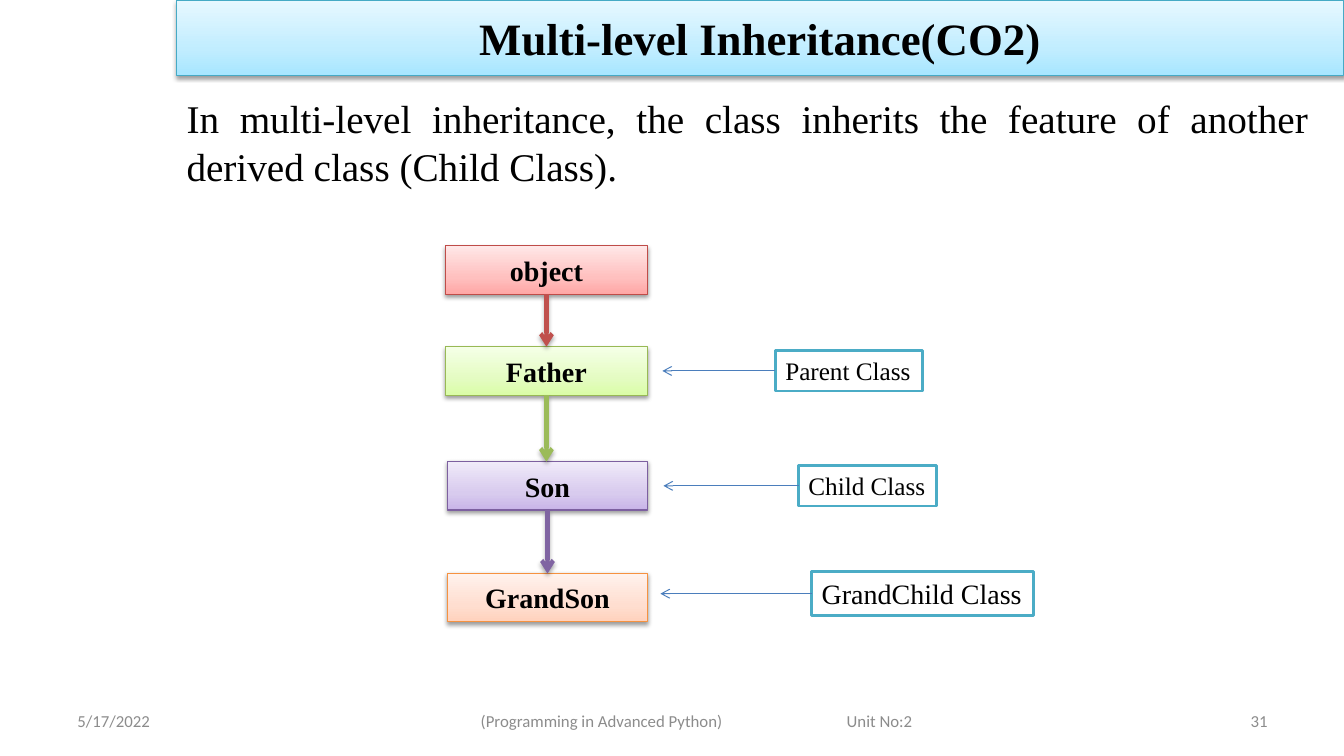
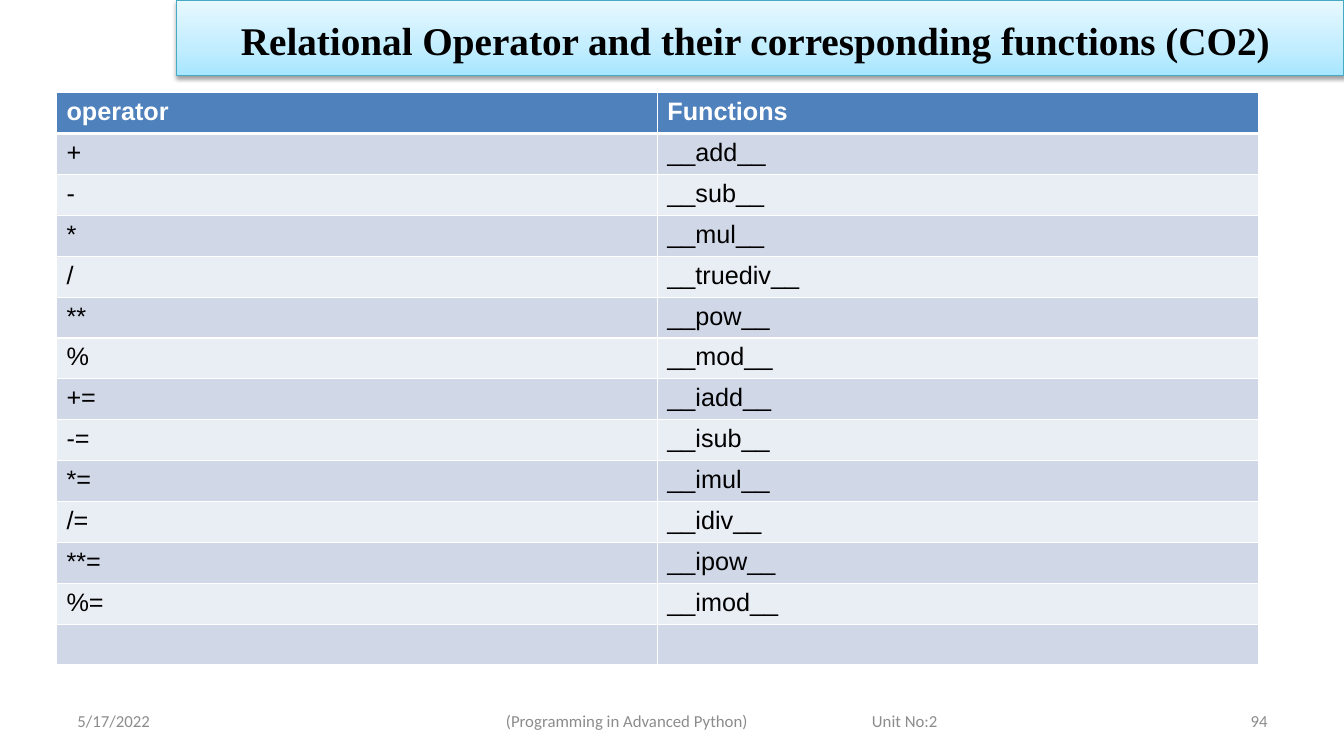
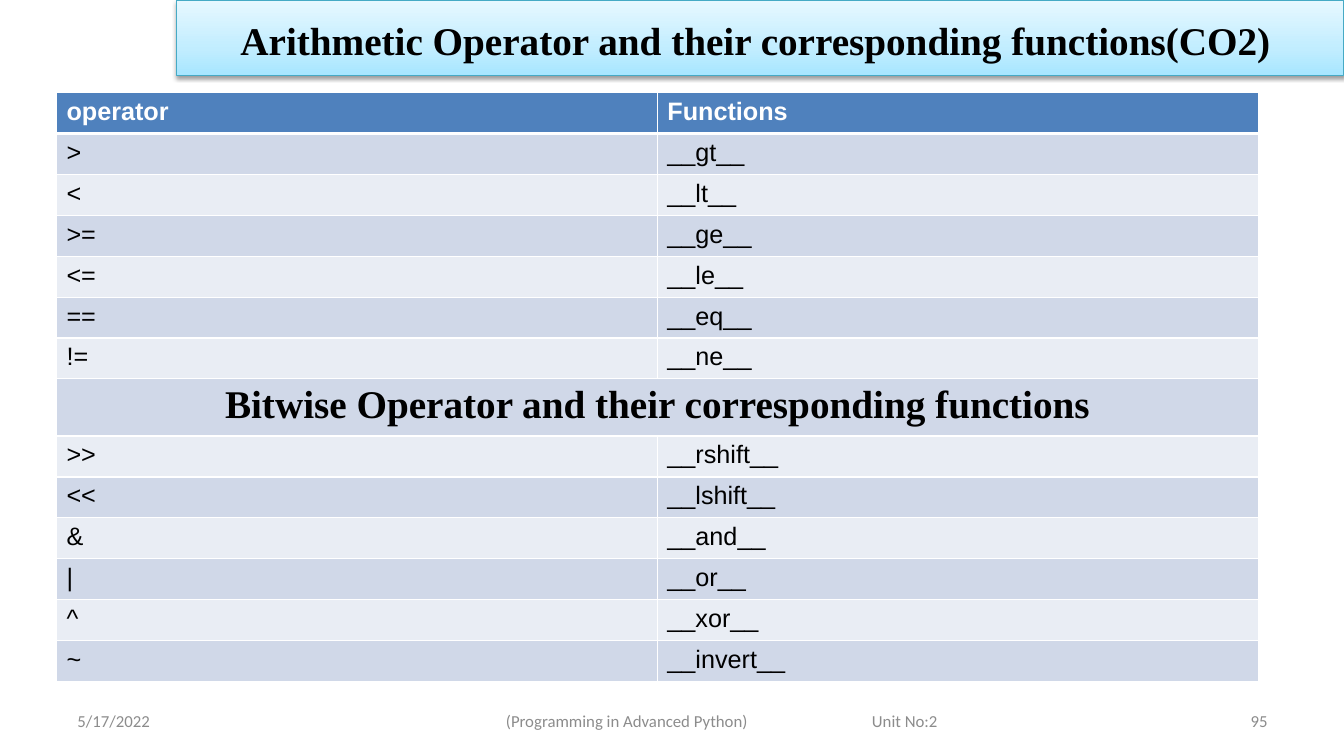
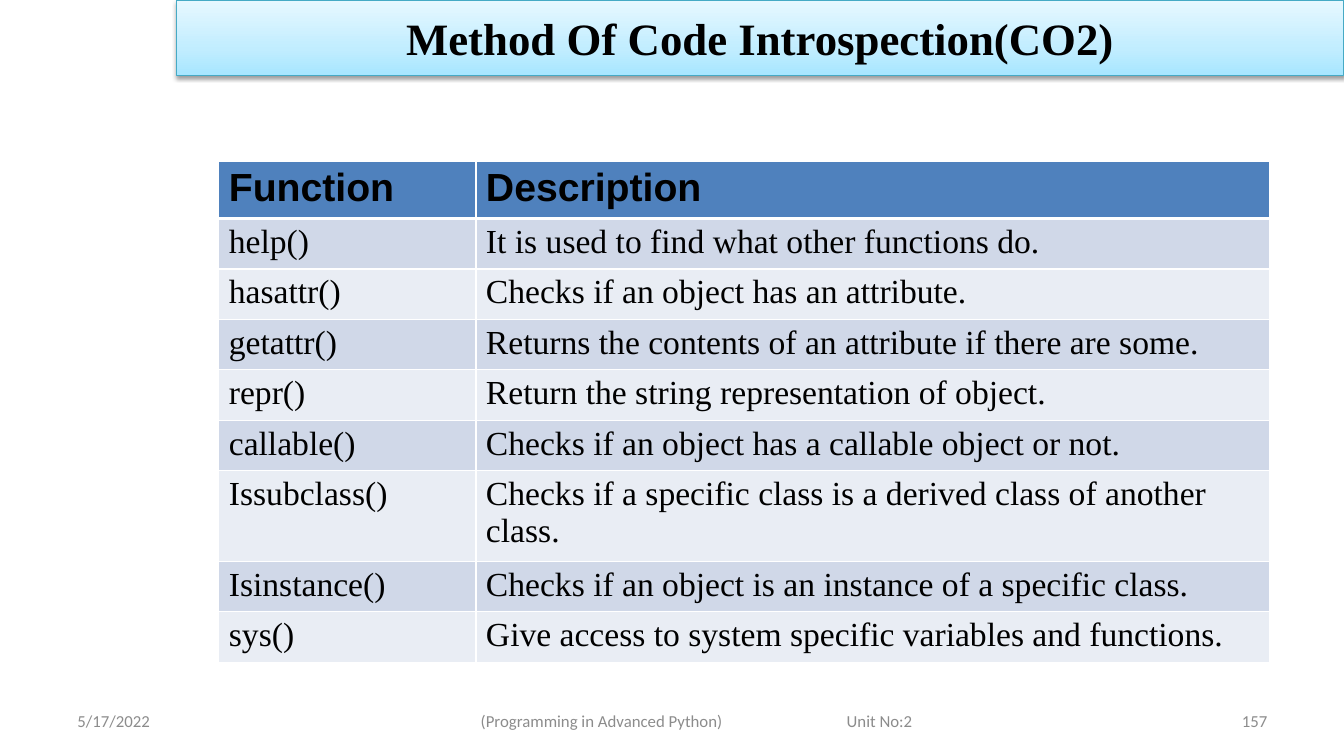
from dataclasses import dataclass

import pptx
import pptx.dml.color
import pptx.enum.shapes
import pptx.enum.text
import pptx.oxml
import pptx.oxml.ns
import pptx.util
from lxml import etree

EMU_PER_PX = 9144  # 100 px to the inch
ALIGN = pptx.enum.text.PP_ALIGN
ANCHOR = pptx.enum.text.MSO_ANCHOR
STRAIGHT = pptx.enum.shapes.MSO_CONNECTOR.STRAIGHT
RECTANGLE = pptx.enum.shapes.MSO_SHAPE.RECTANGLE
LEFT_SITE, BOTTOM_SITE = 1, 2
qn = pptx.oxml.ns.qn


@dataclass(frozen=True)
class Theme:
    serif: str = "Times New Roman"
    sans: str = "Arial"
    footer_font: str = "Calibri"
    black: str = "000000"
    white: str = "FFFFFF"
    footer: str = "8C8C8C"
    label_line: str = "4BACC6"
    pointer: str = "4B7EBC"
    header: str = "4F81BD"
    bands: tuple = ("D0D8E8", "E9EDF4")
    title_size: int = 32
    long_title_size: int = 28
    body_size: int = 28
    box_size: int = 20
    cell_size: int = 18
    footer_size: int = 12


@dataclass(frozen=True)
class Tint:
    """Gradient from bottom to top, with its outline and arrow colours."""
    stops: tuple
    line: str
    arrow: str = ""


THEME = Theme()
AQUA = Tint(("A7E6FF", "C1EDFF", "E7F8FF"), "46AAC5")
RED = Tint(("FFA6A5", "FFC0BF", "FFE7E7"), "BF4C48", "C0504D")
GREEN = Tint(("DAFDA7", "E4FCC2", "F5FFE7"), "98B955", "9BBB59")
PURPLE = Tint(("C9B5E8", "D8CBEE", "F0EAF9"), "7D60A0", "8064A2")
ORANGE = Tint(("FFD2BD", "FFDED0", "FFF2ED"), "F69240")
STOP_POSITIONS = (0, 35000, 100000)

OPERATOR_HEADER = ("operator", "Functions")
ARITHMETIC = [
    ("+", "__add__"), ("-", "__sub__"), ("*", "__mul__"), ("/", "__truediv__"),
    ("**", "__pow__"), ("%", "__mod__"), ("+=", "__iadd__"), ("-=", "__isub__"),
    ("*=", "__imul__"), ("/=", "__idiv__"), ("**=", "__ipow__"),
    ("%=", "__imod__"), ("", ""),
]
COMPARISON_AND_BITWISE = [
    (">", "__gt__"), ("<", "__lt__"), (">=", "__ge__"), ("<=", "__le__"),
    ("==", "__eq__"), ("!=", "__ne__"),
    ("Bitwise Operator and their corresponding functions",),
    (">>", "__rshift__"), ("<<", "__lshift__"), ("&", "__and__"),
    ("|", "__or__"), ("^", "__xor__"), ("~", "__invert__"),
]
INTROSPECTION = [
    ("help()", "It is used to find what other functions do."),
    ("hasattr()", "Checks if an object has an attribute."),
    ("getattr()", "Returns the contents of an attribute if there are some."),
    ("repr()", "Return the string representation of object."),
    ("callable()", "Checks if an object has a callable object or not."),
    ("Issubclass()",
     "Checks if a specific class is a derived class of another class."),
    ("Isinstance()", "Checks if an object is an instance of a specific class."),
    ("sys()", "Give access to system specific variables and functions."),
]


def px(length):
    return pptx.util.Emu(length * EMU_PER_PX)


ROW_HEIGHT = px(568) // 14


def rgb(color):
    return pptx.dml.color.RGBColor.from_string(color)


def set_all(target, values):
    for name, value in values.items():
        setattr(target, name, value)


def place(shape, left, top, width, height):
    set_all(shape, {"left": px(left), "top": px(top),
                    "width": px(width), "height": px(height)})


def write(frame, text, size, font=THEME.serif, color=THEME.black, bold=False,
          **paragraph_format):
    paragraph = frame.paragraphs[0]
    set_all(paragraph, paragraph_format)
    run = paragraph.add_run()
    run.text = text
    set_all(run.font, {"name": font, "size": pptx.util.Pt(size), "bold": bold})
    run.font.color.rgb = rgb(color)
    return paragraph


def set_line(line, color, width):
    line.color.rgb = rgb(color)
    line.width = pptx.util.Pt(width)


def add_child(parent, tag, **attributes):
    return etree.SubElement(parent, qn(tag), attributes)


def add_shadow(effects, distance, alpha):
    shadow = add_child(effects, "a:outerShdw", blurRad="40000",
                       dist=str(distance), dir="5400000", rotWithShape="0")
    color = add_child(shadow, "a:srgbClr", val=THEME.black)
    add_child(color, "a:alpha", val=str(alpha))


def apply_tint(shape, tint):
    """Give a shape its gradient, thin outline and soft shadow."""
    shape.fill.gradient()
    shape.fill.gradient_angle = 90
    properties = shape._element.spPr
    stops = properties.find(".//" + qn("a:gsLst"))
    for stop in list(stops):
        stops.remove(stop)
    for position, color in zip(STOP_POSITIONS, tint.stops):
        stop = add_child(stops, "a:gs", pos=str(position))
        add_child(stop, "a:srgbClr", val=color)
    set_line(shape.line, tint.line, 0.75)
    shape.shadow.inherit = False
    add_shadow(properties.find(qn("a:effectLst")), 20000, 38000)


def add_title(slide, text, long_title):
    title = slide.shapes.title
    place(title, 175, 0, 1158, 75)
    apply_tint(title, AQUA)
    set_all(title.text_frame, {"vertical_anchor": ANCHOR.MIDDLE,
                               "auto_size": pptx.enum.text.MSO_AUTO_SIZE.NONE})
    size = THEME.long_title_size if long_title else THEME.title_size
    write(title.text_frame, text, size, bold=True, alignment=ALIGN.CENTER,
          line_spacing=1.1 if long_title else 1.0)


def add_footer(slide, number, middle_left):
    entries = (
        ("5/17/2022", 67, 311, ALIGN.LEFT),
        ("(Programming in Advanced Python)\tUnit No:2", middle_left, 520, ALIGN.LEFT),
        (str(number), 956, 311, ALIGN.RIGHT),
    )
    for text, left, width, alignment in entries:
        frame = slide.shapes.add_textbox(px(left), px(695), px(width), px(40)).text_frame
        set_all(frame, {"word_wrap": True, "vertical_anchor": ANCHOR.MIDDLE})
        paragraph = write(frame, text, THEME.footer_size, THEME.footer_font,
                          THEME.footer, alignment=alignment)
        if "\t" in text:
            tabs = add_child(paragraph._p.get_or_add_pPr(), "a:tabLst")
            add_child(tabs, "a:tab", pos=str(px(363)), algn="l")


def add_slide(presentation, layout, title, number, footer_left=467, long_title=False):
    slide = presentation.slides.add_slide(presentation.slide_layouts.get_by_name(layout))
    add_title(slide, title, long_title)
    add_footer(slide, number, footer_left)
    return slide


def add_body(slide, text):
    body = slide.placeholders[1]
    place(body, 175, 89, 1133, 186)
    body.text_frame.auto_size = pptx.enum.text.MSO_AUTO_SIZE.NONE
    paragraph = write(body.text_frame, text, THEME.body_size, alignment=ALIGN.JUSTIFY)
    properties = paragraph._p.get_or_add_pPr()
    properties.set("marL", "0")
    properties.set("indent", "0")
    add_child(properties, "a:buNone")


def add_class_box(slide, text, tint, left, top, width):
    box = slide.shapes.add_shape(RECTANGLE, px(left), px(top), px(width), px(48))
    apply_tint(box, tint)
    box.text_frame.vertical_anchor = ANCHOR.MIDDLE
    write(box.text_frame, text, THEME.box_size, bold=True, alignment=ALIGN.CENTER)
    return box


def add_label(slide, text, size, left, top, width, height):
    label = slide.shapes.add_textbox(px(left), px(top), px(width), px(height))
    label.fill.solid()
    label.fill.fore_color.rgb = rgb(THEME.white)
    set_line(label.line, THEME.label_line, 2)
    set_all(label.text_frame, {
        "word_wrap": False,
        "auto_size": pptx.enum.text.MSO_AUTO_SIZE.SHAPE_TO_FIT_TEXT})
    write(label.text_frame, text, size)
    return label


def add_arrow(slide, source, site, end_x, end_y, color, width, shadowed=False):
    arrow = slide.shapes.add_connector(STRAIGHT, end_x, end_y, end_x, end_y)
    arrow.begin_connect(source, site)
    set_line(arrow.line, color, width)
    add_child(arrow.line._get_or_add_ln(), "a:tailEnd", type="arrow")
    effects = add_child(arrow._element.spPr, "a:effectLst")
    if shadowed:
        add_shadow(effects, 23000, 35000)


def add_class_chain(slide):
    classes = (("object", RED, 442, 244, 200), ("Father", GREEN, 442, 344, 200),
               ("Son", PURPLE, 444, 458, 198), ("GrandSon", ORANGE, 444, 569, 198))
    boxes = [add_class_box(slide, *values) for values in classes]
    for upper, lower, (_, tint, *_) in zip(boxes, boxes[1:], classes):
        add_arrow(slide, upper, BOTTOM_SITE, upper.left + upper.width // 2,
                  lower.top, tint.arrow, 3, shadowed=True)


def add_class_labels(slide):
    labels = (("Parent Class", 18, 769, 348, 146, 40, 657),
              ("Child Class", 18, 792, 462, 137, 40, 658),
              ("GrandChild Class", 20, 805, 567, 220, 44, 655))
    for *values, arrow_end in labels:
        label = add_label(slide, *values)
        add_arrow(slide, label, LEFT_SITE, px(arrow_end),
                  label.top + label.height // 2, THEME.pointer, 0.75)


def set_borders(cell, bottom_width):
    properties = cell._tc.get_or_add_tcPr()
    widths = {"a:lnL": 1, "a:lnR": 1, "a:lnT": 1, "a:lnB": bottom_width}
    for index, (tag, width) in enumerate(widths.items()):
        border = etree.Element(qn(tag), w=str(pptx.util.Pt(width)))
        fill = add_child(border, "a:solidFill")
        add_child(fill, "a:srgbClr", val=THEME.white)
        properties.insert(index, border)


def add_banded_table(slide, left, top, widths, height, header, rows,
                     header_format, cell_format):
    """Add a table; a row of one text spans all columns as a subheading."""
    frame = slide.shapes.add_table(len(rows) + 1, len(widths), px(left), px(top),
                                   px(sum(widths)), px(height))
    table = frame.table
    for column, width in zip(table.columns, widths):
        column.width = px(width)
    for index, texts in enumerate([header, *rows]):
        is_header = index == 0
        table.rows[index].height = ROW_HEIGHT
        cells = [table.cell(index, column) for column in range(len(widths))]
        for cell in cells:
            cell.fill.solid()
            cell.fill.fore_color.rgb = rgb(
                THEME.header if is_header else THEME.bands[(index - 1) % 2])
            set_borders(cell, 3 if is_header else 1)
        text_format = header_format if is_header else cell_format
        if len(texts) == 1:
            cells[0].merge(cells[-1])
            text_format = {"size": THEME.body_size, "bold": True,
                           "alignment": ALIGN.CENTER}
        for cell, text in zip(cells, texts):
            if text:
                write(cell.text_frame, text, **text_format)
    frame.height = px(height)


def add_operator_slide(presentation, title, number, rows, height):
    slide = add_slide(presentation, "Title Only", title, number,
                      footer_left=492, long_title=True)
    cell_format = {"size": THEME.cell_size, "font": THEME.sans}
    header_format = {**cell_format, "color": THEME.white, "bold": True}
    add_banded_table(slide, 56, 92, (596, 596), height, OPERATOR_HEADER, rows,
                     header_format, cell_format)


def main():
    presentation = pptx.Presentation()
    set_all(presentation, {"slide_width": px(1333), "slide_height": px(750)})

    slide = add_slide(presentation, "Title and Content",
                      "Multi-level Inheritance(CO2)", 31)
    add_body(slide, "In multi-level inheritance, the class inherits the feature "
                    "of another derived class (Child Class).")
    add_class_chain(slide)
    add_class_labels(slide)

    add_operator_slide(
        presentation, "Relational Operator and their corresponding functions (CO2) ",
        94, ARITHMETIC, 568)
    add_operator_slide(
        presentation, "Arithmetic Operator and their corresponding functions(CO2) ",
        95, COMPARISON_AND_BITWISE, 584)

    slide = add_slide(presentation, "Title Only",
                      "Method Of Code Introspection(CO2)", 157)
    add_banded_table(slide, 217, 160, (255, 787), 497, ("Function", "Description"),
                     INTROSPECTION,
                     {"size": 28, "font": THEME.sans, "bold": True}, {"size": 24})

    presentation.save("out.pptx")


if __name__ == "__main__":
    main()
